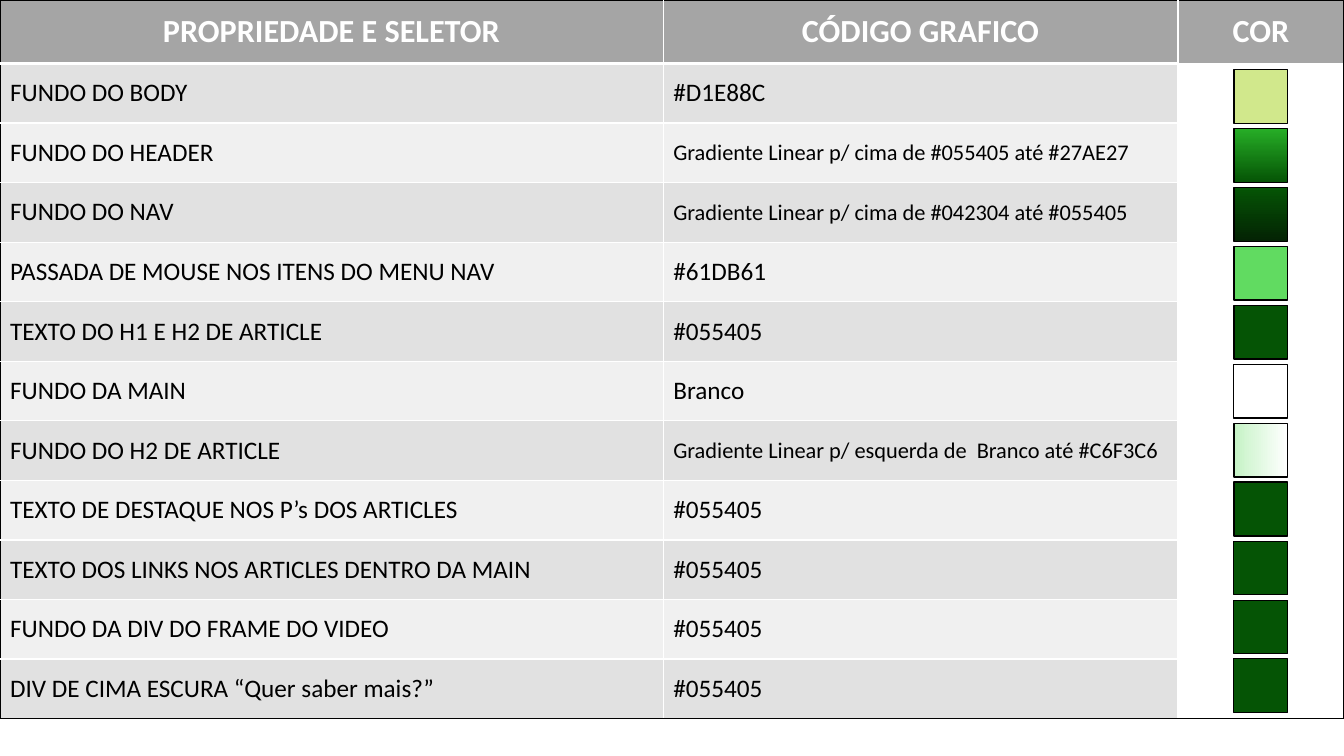
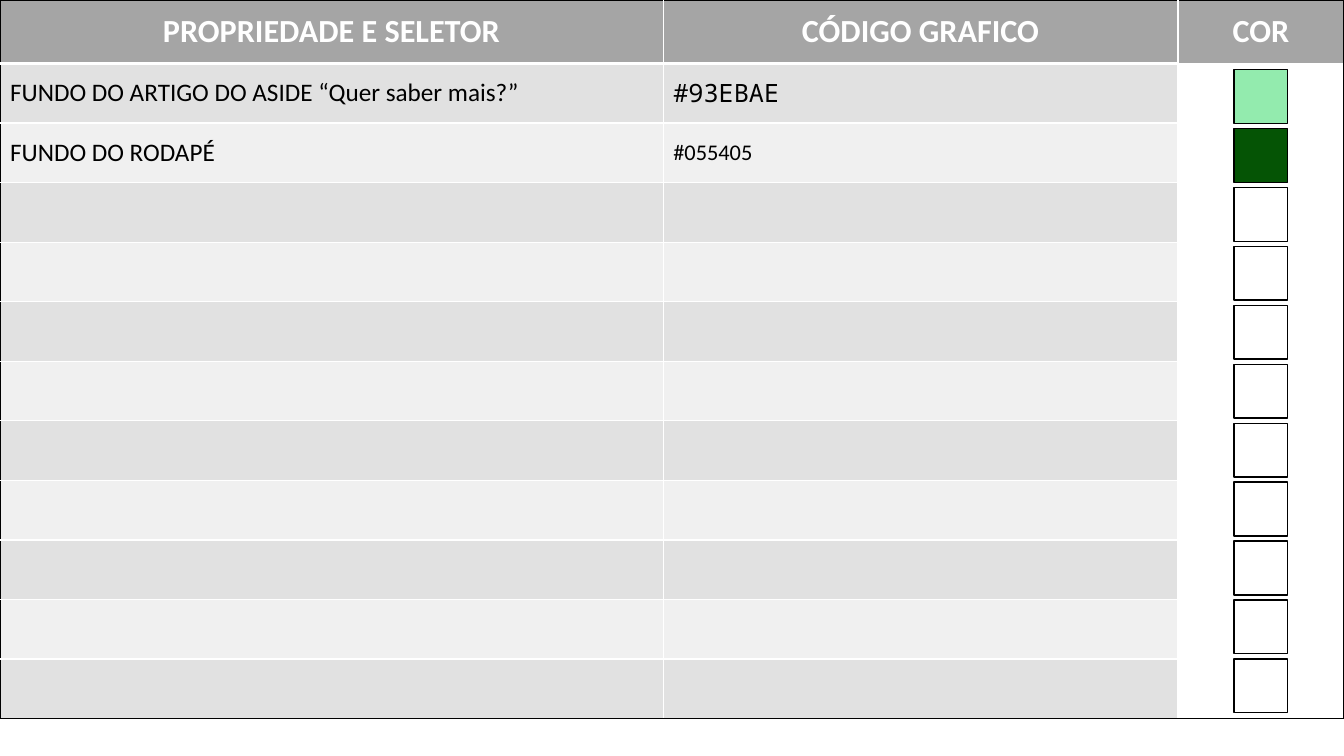
from dataclasses import dataclass

from lxml.etree import SubElement
from pptx import Presentation
from pptx.dml.color import RGBColor
from pptx.enum.shapes import MSO_SHAPE
from pptx.enum.text import MSO_ANCHOR, PP_ALIGN
from pptx.oxml.ns import qn
from pptx.util import Pt

COLORS = {
    "black": "000000", "white": "FFFFFF",
    "header": "A5A5A5", "band_dark": "E1E1E1", "band_light": "F0F0F0",
    "lime": "D1E88C", "green": "27AE27", "dark_green": "055405",
    "deep_green": "042304", "light_green": "61DB61",
    "pale_green": "C6F3C6", "mint": "93EBAE",
}
NO_STYLE = "{2D5ABB26-0587-4C30-8999-92F81FD0307C}"
HEADERS = ("PROPRIEDADE E SELETOR", "CÓDIGO GRAFICO", "COR")
ROW_COUNT = 11


@dataclass
class Entry:
    label: str = ""
    code: str = ""
    colors: tuple = ("white",)  # two colours make a gradient
    angle: int = 270
    code_size: int = 18
    code_font: str = "Calibri"
    outline: float = 1


class ColorSheet:
    """Style of the colour tables, and the slide being filled."""

    font = "Calibri"
    width, height = 960, 540
    columns = (473.8, 367.7, 118.5)
    header_height, row_height = 45.3, 42.55
    swatch_left, swatch_top = 881.4, 49.7
    swatch_size, swatch_pitch = 38.4, 42.1

    def __init__(self):
        self.prs = Presentation()
        self.prs.slide_width = Pt(self.width)
        self.prs.slide_height = Pt(self.height)
        self.s = None

    def rgb(self, name):
        return RGBColor.from_string(COLORS[name])

    def add_slide(self, entries):
        self.s = self.prs.slides.add_slide(self.prs.slide_layouts[6])
        rows = entries + [Entry()] * (ROW_COUNT - len(entries))
        self.table(rows)
        for i, entry in enumerate(rows):
            self.swatch(i, entry)

    def borders(self, cell, **edges):
        """Each edge (L, R, T, B, in this order) is a colour and a width."""
        tc_pr = cell._tc.get_or_add_tcPr()
        for edge, (color, width) in edges.items():
            ln = SubElement(tc_pr, qn(f"a:ln{edge}"), w=str(Pt(width)))
            fill = SubElement(ln, qn("a:solidFill"))
            SubElement(fill, qn("a:srgbClr"), val=COLORS[color])

    def cell_text(self, cell, text, size, color, font=None, header=False):
        cell.vertical_anchor = MSO_ANCHOR.MIDDLE
        cell.text_frame.text = text
        p = cell.text_frame.paragraphs[0]
        p.alignment = PP_ALIGN.CENTER if header else PP_ALIGN.LEFT
        for r in p.runs:
            r.font.name = font or self.font
            r.font.size = Pt(size)
            r.font.bold = header
            r.font.color.rgb = self.rgb(color)

    def cell_frame(self, cell, row, col):
        """Black around the table, white between the cells of the bands."""
        black, white = ("black", 1), ("white", 1)
        under_header = ("white", 3)
        edges = {}
        if col < 2:
            edges["L"] = white if col else black
            edges["R"] = white
            edges["T"] = (black, under_header)[row] if row < 2 else white
            edges["B"] = under_header if row == 0 else white
        else:
            edges["R"] = black
            if row == 0:
                edges["T"] = black
        if row == ROW_COUNT:
            edges["B"] = black
        self.borders(cell, **edges)

        # Fill: header, alternating bands, empty colour column
        if row and col == 2:
            cell.fill.background()
            return
        cell.fill.solid()
        band = "band_dark" if row % 2 else "band_light"
        cell.fill.fore_color.rgb = self.rgb(band if row else "header")

    def table(self, rows):
        total = self.header_height + ROW_COUNT * self.row_height
        shape = self.s.shapes.add_table(ROW_COUNT + 1, len(HEADERS), Pt(0), Pt(0),
                                        Pt(self.width), Pt(total))
        table = shape.table
        table._tbl.tblPr.find(qn("a:tableStyleId")).text = NO_STYLE
        table.first_row = table.horz_banding = False
        for col, width in enumerate(self.columns):
            table.columns[col].width = Pt(width)
        for i, row in enumerate(table.rows):
            row.height = Pt(self.row_height if i else self.header_height)
            for col, cell in enumerate(row.cells):
                self.cell_frame(cell, i, col)

        # Wording
        for col, text in enumerate(HEADERS):
            self.cell_text(table.cell(0, col), text, 23, "white", header=True)
        for i, entry in enumerate(rows, start=1):
            self.cell_text(table.cell(i, 0), entry.label, 18, "black")
            self.cell_text(table.cell(i, 1), entry.code, entry.code_size, "black",
                           entry.code_font)

    def swatch(self, index, entry):
        top = self.swatch_top + index * self.swatch_pitch
        sp = self.s.shapes.add_shape(MSO_SHAPE.RECTANGLE, Pt(self.swatch_left), Pt(top),
                                     Pt(self.swatch_size), Pt(self.swatch_size))
        sp.shadow.inherit = False
        sp.line.color.rgb = self.rgb("black")
        sp.line.width = Pt(entry.outline)
        if len(entry.colors) == 1:
            sp.fill.solid()
            sp.fill.fore_color.rgb = self.rgb(entry.colors[0])
            return
        sp.fill.gradient()
        sp.fill.gradient_angle = entry.angle
        for position, (stop, color) in enumerate(zip(sp.fill.gradient_stops, entry.colors)):
            stop.position = position
            stop.color.rgb = self.rgb(color)


DARK = ("dark_green",)

# Page colours
PAGE = [
    Entry("FUNDO DO BODY", "#D1E88C", ("lime",)),
    Entry("FUNDO DO HEADER", "Gradiente Linear p/ cima de #055405 até #27AE27",
          ("green", "dark_green"), code_size=16),
    Entry("FUNDO DO NAV", "Gradiente Linear p/ cima de #042304 até #055405",
          ("dark_green", "deep_green"), code_size=16),
    Entry("PASSADA DE MOUSE NOS ITENS DO MENU NAV", "#61DB61", ("light_green",)),
    Entry("TEXTO DO H1 E H2 DE ARTICLE", "#055405", DARK),
    Entry("FUNDO DA MAIN", "Branco", outline=0.75),
    Entry("FUNDO DO H2 DE ARTICLE", "Gradiente Linear p/ esquerda de  Branco até #C6F3C6",
          ("white", "pale_green"), angle=180, code_size=16),
    Entry("TEXTO DE DESTAQUE NOS P’s DOS ARTICLES", "#055405", DARK),
    Entry("TEXTO DOS LINKS NOS ARTICLES DENTRO DA MAIN", "#055405", DARK, outline=0.75),
    Entry("FUNDO DA DIV DO FRAME DO VIDEO", "#055405", DARK, outline=0.75),
    Entry("DIV DE CIMA ESCURA “Quer saber mais?”", "#055405", DARK, outline=0.75),
]

# Aside and footer colours
ASIDE = [
    Entry("FUNDO DO ARTIGO DO ASIDE “Quer saber mais?”", "#93EBAE", ("mint",),
          code_font="Noto Sans Mono"),
    Entry("FUNDO DO RODAPÉ", "#055405", DARK, code_size=16),
]


def main():
    sheet = ColorSheet()
    for entries in (PAGE, ASIDE):
        sheet.add_slide(entries)
    sheet.prs.save("out.pptx")


if __name__ == "__main__":
    main()
